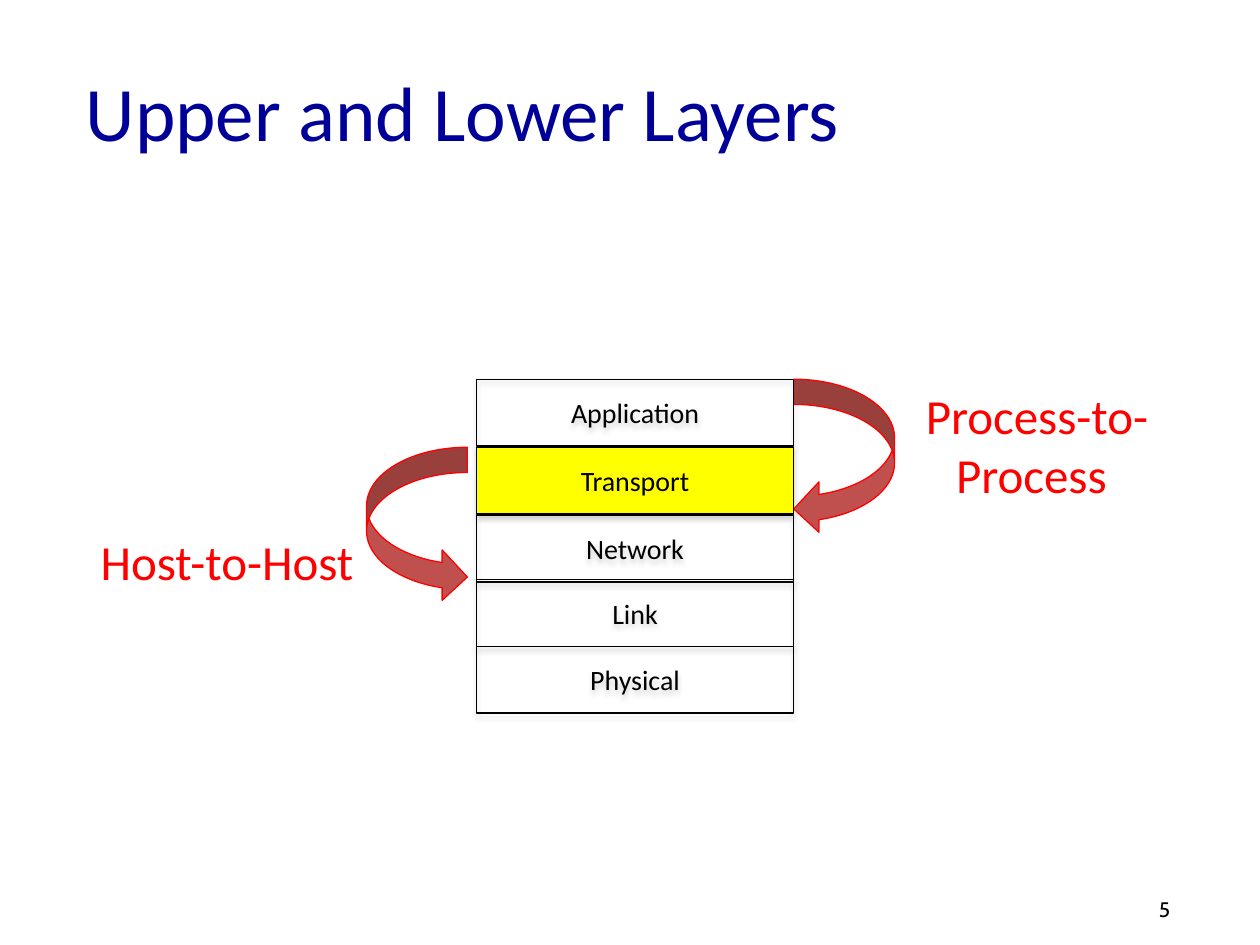
from dataclasses import dataclass

from lxml.etree import SubElement
from pptx import Presentation
from pptx.dml.color import RGBColor
from pptx.enum.shapes import MSO_SHAPE
from pptx.enum.text import MSO_ANCHOR, MSO_AUTO_SIZE, PP_ALIGN
from pptx.oxml.ns import qn
from pptx.util import Inches, Pt


@dataclass(frozen=True)
class Theme:
    font: str = "Calibri"
    number_font: str = "Cabin"
    title_size: int = 44
    label_size: int = 28
    layer_size: int = 16
    number_size: int = 12
    title: str = "000099"
    ink: str = "000000"
    accent: str = "FF0000"
    arrow: str = "C0504D"
    highlight: str = "FFFF00"
    shadow: str = "808080"
    line_width: float = 0.75


THEME = Theme()

LAYERS = [
    ("Application", 0),
    ("Transport", 0.54),
    ("Network", 1.08),
    ("Link", 1.59),
    ("Physical", 2.12),
]


def inches(box):
    return [Inches(length) for length in box]


def write(shape, text, size, color, align=PP_ALIGN.CENTER, font=THEME.font):
    shape.text_frame.text = text
    paragraph = shape.text_frame.paragraphs[0]
    paragraph.alignment = align
    paragraph.font.name = font
    paragraph.font.size = Pt(size)
    paragraph.font.color.rgb = RGBColor.from_string(color)


def outline(shape, color):
    shape.line.color.rgb = RGBColor.from_string(color)
    shape.line.width = Pt(THEME.line_width)


def fill_solid(shape, color):
    shape.fill.solid()
    shape.fill.fore_color.rgb = RGBColor.from_string(color)


def add_soft_shadow(shape):
    shape.shadow.inherit = False
    effects = shape._element.spPr.find(qn("a:effectLst"))
    shadow = SubElement(effects, qn("a:outerShdw"), blurRad="40000",
                        dist="23000", dir="5400000", rotWithShape="0")
    tint = SubElement(shadow, qn("a:srgbClr"), val=THEME.shadow)
    SubElement(tint, qn("a:alpha"), val="35000")


def place_title(slide, box, text):
    title = slide.shapes.title
    title.left, title.top, title.width, title.height = inches(box)
    write(title, text, THEME.title_size, THEME.title, PP_ALIGN.LEFT)
    title.text_frame.vertical_anchor = MSO_ANCHOR.MIDDLE


def place_layers(slide, box, highlighted):
    left, top, width, height = box
    for name, offset in LAYERS:
        layer = slide.shapes.add_shape(
            MSO_SHAPE.RECTANGLE, *inches((left, top + offset, width, height)))
        if name == highlighted:
            fill_solid(layer, THEME.highlight)
        else:
            layer.fill.background()
        outline(layer, THEME.ink)
        add_soft_shadow(layer)
        write(layer, name, THEME.layer_size, THEME.ink)
        layer.text_frame.vertical_anchor = MSO_ANCHOR.MIDDLE


def place_arrow(slide, box, mirrored=False):
    arrow = slide.shapes.add_shape(MSO_SHAPE.CURVED_LEFT_ARROW, *inches(box))
    for index, value in enumerate((0.25, 0.5, 0.25)):
        arrow.adjustments[index] = value
    if mirrored:
        arrow._element.spPr.xfrm.set("flipH", "1")
    arrow.shadow.inherit = False
    fill_solid(arrow, THEME.arrow)
    outline(arrow, THEME.accent)


def place_label(slide, box, text):
    label = slide.shapes.add_textbox(*inches(box))
    label.text_frame.word_wrap = True
    label.text_frame.auto_size = MSO_AUTO_SIZE.SHAPE_TO_FIT_TEXT
    write(label, text, THEME.label_size, THEME.accent)


def place_number(slide, box, text):
    number = slide.shapes.add_textbox(*inches(box))
    number.text_frame.word_wrap = True
    write(number, text, THEME.number_size, THEME.ink, PP_ALIGN.LEFT,
          THEME.number_font)


def main():
    deck = Presentation()
    deck.slide_width, deck.slide_height = Inches(10), Inches(7.5)
    slide = deck.slides.add_slide(deck.slide_layouts[5])

    place_title(slide, (0.58, 0.25, 8.5, 1.25), "Upper and Lower Layers")
    place_number(slide, (9.1, 7.07, 0.74, 0.3), "5")
    place_arrow(slide, (6.3, 3.01, 0.8, 1.23))
    place_label(slide, (7.05, 3.01, 2.36, 1.04), "Process-to-Process ")
    place_layers(slide, (3.78, 3.01, 2.52, 0.53), "Transport")
    place_label(slide, (0.41, 4.17, 2.87, 0.57), "Host-to-Host ")
    place_arrow(slide, (2.91, 3.55, 0.8, 1.23), mirrored=True)

    deck.save("out.pptx")


if __name__ == "__main__":
    main()
